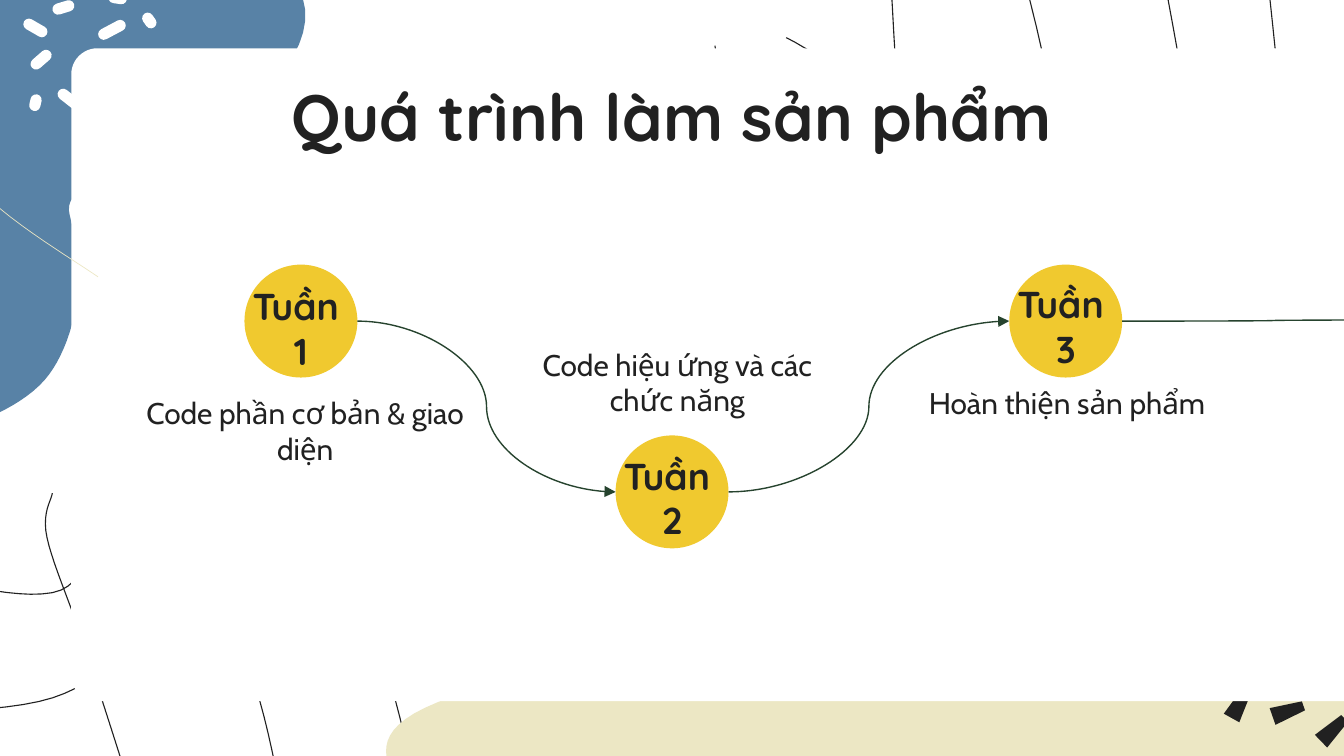
"""Build the product-making timeline slide with its decorated frame."""
from dataclasses import dataclass

from lxml.etree import SubElement
from pptx import Presentation
from pptx.dml.color import RGBColor as Color
from pptx.enum.shapes import MSO_CONNECTOR as Connector, MSO_SHAPE as Shape
from pptx.enum.text import MSO_ANCHOR as Anchor, PP_ALIGN as Align
from pptx.oxml.ns import qn
from pptx.util import Pt


@dataclass(frozen=True)
class Theme:
    ink: Color = Color.from_string("212121")
    white: Color = Color.from_string("FFFFFF")
    blue: Color = Color.from_string("5882A6")
    cream: Color = Color.from_string("ECE7C4")
    yellow: Color = Color.from_string("F0C92F")
    green: Color = Color.from_string("26432E")
    heading_font: str = "Quicksand"
    body_font: str = "Cabin"
    title_size: float = 35
    week_size: float = 20
    caption_size: float = 16
    strand_width: float = 0.59
    hairline_width: float = 0.38
    arrow_width: float = 0.75


@dataclass(frozen=True)
class Week:
    name: str
    caption: str
    left: float
    top: float
    label_top: float
    caption_left: float
    caption_top: float
    anchor: Anchor = Anchor.TOP


THEME = Theme()
GRID = 0.72
CURVE_STEPS = 10
DIAMETER = 60.5
TEXT_WIDTH = 178.6

WEEKS = [
    Week("Tuần \v1", "Code phần cơ bản & giao diện", 131, 141.8, 151.9, 74.2, 211.7),
    Week("Tuần \v2", "Code hiệu ứng và các chức năng", 329.8, 233.3, 242.6, 273.6, 181.4, Anchor.BOTTOM),
    Week("Tuần \v3", "Hoàn thiện sản phẩm", 540.7, 141.8, 150.5, 482.4, 205.9),
]

BLUE_BLOB = [(-60, 311), (-16, 313), (33, 283), (56, 231), (54, 175), (63, 139), (176, 89),
             (227, 7), (158, -81), (43, -102), (9, -225), (-60, -280)]
CREAM_BLOB = [(326, 602), (289, 570), (308, 531), (431, 486), (552, 439), (628, 361),
              (698, 351), (842, 349), (1020, 297), (1185, 325), (1192, 595)]
STRANDS = [
    [(153, 298), (135, 401), (186, 499), (212, 604)],
    [(243, 273), (232, 383), (283, 485), (312, 595)],
    [(-37, 434), (39, 441), (111, 406), (391, 394)],
    [(460, 424), (140, 480), (29, 522), (-86, 531)],
    [(757, 342), (786, 126), (760, -27)],
    [(864, -31), (892, 186), (848, 393)],
    [(939, 405), (959, 189), (942, -31)],
    [(663, -10), (673, 103), (706, 214), (658, 366)],
    [(532, 34), (545, 125), (556, 215)],
    [(585, 28), (694, 79), (817, 56), (1021, 72)],
    [(39, 367), (35, 400), (63, 481), (99, 593)],
]
HAIRLINE = [(73, 206), (1, 156), (-60, 95)]
DASHES = [(60, 16, 16, -28), (37, 53, 14, 38), (22, 32, 13, -41), (34, 4, 12, -17),
          (63, -1, 10, 8), (19, 55, 9, 103), (19, 15, 14, 30), (80, 11, 9, 55)]
RAYS = [(664, 377, 29), (690, 381, 71), (714, 391, 46)]


def smooth(anchors):
    """Return the points of a smooth curve through the anchors."""
    padded = [anchors[0], *anchors, anchors[-1]]
    points = [anchors[0]]
    for a, b, c, d in zip(padded, padded[1:], padded[2:], padded[3:]):
        for index in range(1, CURVE_STEPS + 1):
            t = index / CURVE_STEPS
            points.append([
                q + t / 2 * (r - p + t * (2 * p - 5 * q + 4 * r - s + t * (3 * (q - r) + s - p)))
                for p, q, r, s in zip(a, b, c, d)])
    return [(Pt(x * GRID), Pt(y * GRID)) for x, y in points]


def paint(shape, color):
    """Give a shape a plain fill with no outline or shadow."""
    shape.shadow.inherit = False
    shape.fill.solid()
    shape.fill.fore_color.rgb = color
    shape.line.fill.background()


def add_outline(slide, anchors, closed):
    """Draw a smooth curve as a freeform."""
    start, *rest = smooth(anchors)
    builder = slide.shapes.build_freeform(*start)
    builder.add_line_segments(rest, close=closed)
    return builder.convert_to_shape()


def add_blob(slide, anchors, color):
    """Draw a filled smooth outline."""
    paint(add_outline(slide, anchors, True), color)


def add_strand(slide, anchors, color, width):
    """Draw an open curved line."""
    shape = add_outline(slide, anchors, False)
    shape.shadow.inherit = False
    shape.fill.background()
    shape.line.color.rgb = color
    shape.line.width = Pt(width)


def add_filled(slide, kind, left, top, width, height, color):
    """Draw a filled preset shape."""
    shape = slide.shapes.add_shape(kind, Pt(left), Pt(top), Pt(width), Pt(height))
    paint(shape, color)
    return shape


def add_turned(slide, kind, center, width, height, angle, color, adjustment):
    """Draw a filled preset shape turned about its centre."""
    x, y = center
    shape = add_filled(slide, kind, x - width / 2, y - height / 2, width, height, color)
    shape.rotation = angle
    shape.adjustments[0] = adjustment


def add_text(slide, text, left, top, width, height, font, size, bold=False, anchor=Anchor.TOP):
    """Write centred text in a box without margins."""
    frame = slide.shapes.add_textbox(Pt(left), Pt(top), Pt(width), Pt(height)).text_frame
    frame.word_wrap = True
    frame.vertical_anchor = anchor
    frame.margin_left = frame.margin_right = frame.margin_top = frame.margin_bottom = 0
    paragraph = frame.paragraphs[0]
    paragraph.text = text
    paragraph.alignment = Align.CENTER
    paragraph.font.name, paragraph.font.size, paragraph.font.bold = font, Pt(size), bold
    paragraph.font.color.rgb = THEME.ink


def add_arrow(slide, *ends):
    """Draw a curved arrow between two points."""
    arrow = slide.shapes.add_connector(Connector.CURVE, *(Pt(end) for end in ends))
    arrow.line.color.rgb = THEME.green
    arrow.line.width = Pt(THEME.arrow_width)
    properties = arrow._element.spPr
    SubElement(properties.find(qn("a:ln")), qn("a:tailEnd"), type="triangle")
    SubElement(properties, qn("a:effectLst"))


def add_backdrop(slide):
    """Draw the decoration and the white panel over it."""
    add_blob(slide, BLUE_BLOB, THEME.blue)
    for strand in STRANDS:
        add_strand(slide, strand, THEME.ink, THEME.strand_width)
    add_blob(slide, CREAM_BLOB, THEME.cream)
    for x, y, length, angle in DASHES:
        add_turned(slide, Shape.ROUNDED_RECTANGLE, (x, y), length, 6, angle, THEME.white, 0.5)
    for x, y, angle in RAYS:
        add_turned(slide, Shape.TRAPEZOID, (x, y), 9.5, 17.5, angle, THEME.ink, 0.23)
    panel = add_filled(slide, Shape.ROUNDED_RECTANGLE, 38.2, 25.9, 761, 349.8, THEME.white)
    panel.adjustments[0] = 0.04
    add_strand(slide, HAIRLINE, THEME.cream, THEME.hairline_width)


def add_week(slide, week):
    """Draw one week's circle, label and caption."""
    add_filled(slide, Shape.OVAL, week.left, week.top, DIAMETER, DIAMETER, THEME.yellow)
    label_left = week.left + (DIAMETER - TEXT_WIDTH) / 2
    add_text(slide, week.name, label_left, week.label_top, TEXT_WIDTH, 21.6,
             THEME.heading_font, THEME.week_size, True)
    add_text(slide, week.caption, week.caption_left, week.caption_top, TEXT_WIDTH, 42.5,
             THEME.body_font, THEME.caption_size, anchor=week.anchor)


def main():
    """Build and save the slide."""
    presentation = Presentation()
    presentation.slide_width, presentation.slide_height = Pt(720), Pt(405)
    slide = presentation.slides.add_slide(presentation.slide_layouts[6])
    add_backdrop(slide)
    add_text(slide, "Quá trình làm sản phẩm", 56.2, 41, 607.7, 45.4,
             THEME.heading_font, THEME.title_size, True)
    for week in WEEKS:
        add_week(slide, week)
    stops = [(week.left, week.top + DIAMETER / 2) for week in WEEKS] + [(762.5, 171.4)]
    for (left, y), (next_left, next_y) in zip(stops, stops[1:]):
        add_arrow(slide, left + DIAMETER, y, next_left, next_y)
    presentation.save("out.pptx")


if __name__ == "__main__":
    main()
